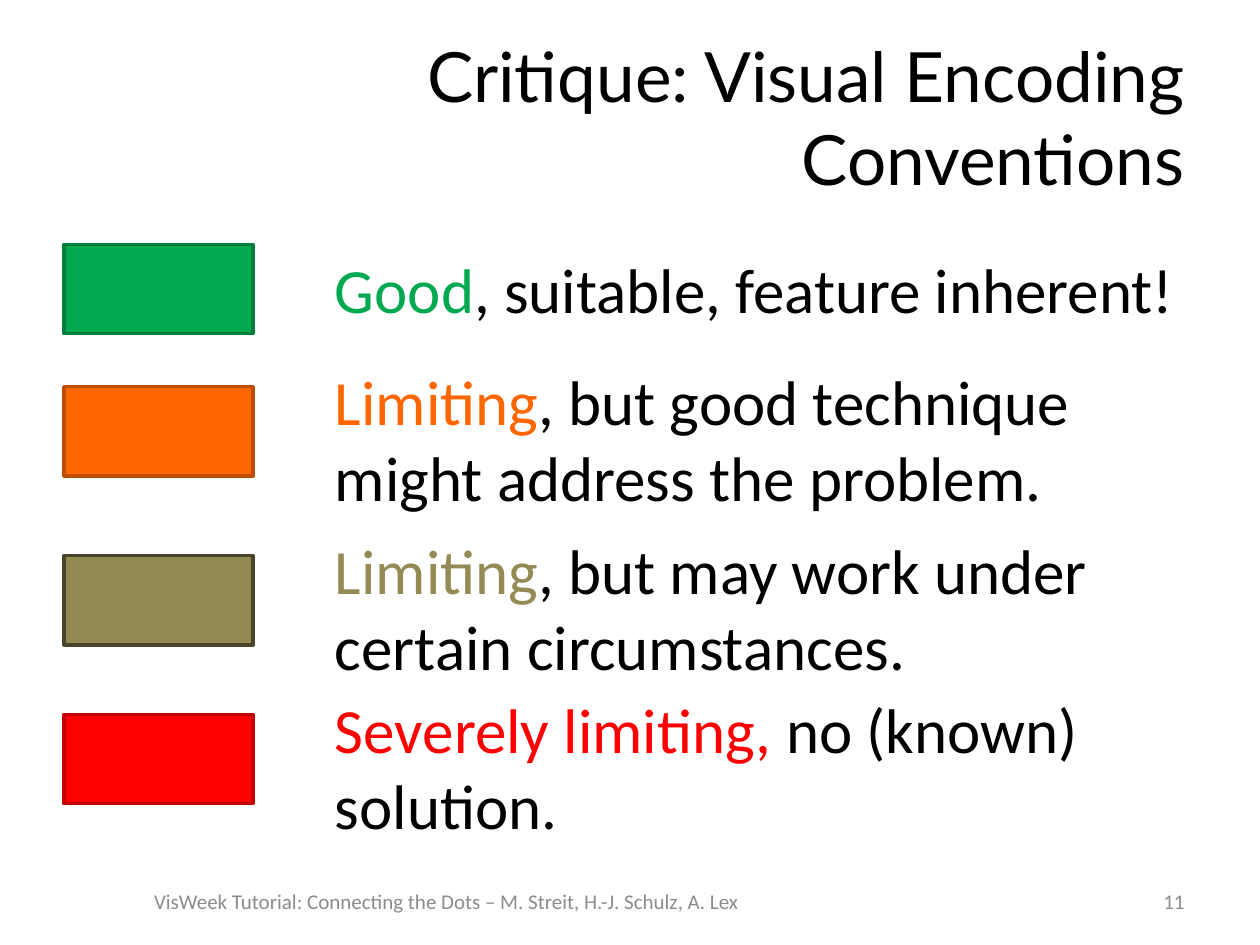
from pptx import Presentation
from pptx.dml.color import RGBColor
from pptx.enum.shapes import MSO_SHAPE
from pptx.enum.text import MSO_ANCHOR, PP_ALIGN
from pptx.util import Pt

RECTANGLE = MSO_SHAPE.RECTANGLE
TOP, MIDDLE = MSO_ANCHOR.TOP, MSO_ANCHOR.MIDDLE
LEFT, CENTER, RIGHT = PP_ALIGN.LEFT, PP_ALIGN.CENTER, PP_ALIGN.RIGHT

BLACK = "000000"
TITLE_FORMAT = {"name": "Lato", "size": Pt(39.6)}
RATING_FORMAT = {"name": "Calibri", "size": Pt(36)}
FOOTER_FORMAT = {"name": "Calibri", "size": Pt(12)}
FOOTER_COLOR = "8C8C8C"

SWATCH_HEIGHT = 51
# swatch top, text top, text height, fill, outline, coloured words, black words
RATINGS = [
    (139.7, 139.7, 51, "00A950", "007D3B", "Good", ", suitable, feature inherent!"),
    (221, 203.8, 94.3, "FF6600", "BF4D00", "Limiting",
     ", but good technique might address the problem."),
    (317.5, 300.2, 94.3, "948A54", "4A452A", "Limiting",
     ", but may work under certain circumstances."),
    (408.2, 391, 94.3, "FF0000", "C00000", "Severely limiting, ", "no (known) solution."),
]


def color(hex_value):
    return RGBColor.from_string(hex_value)


def add_text(slide, box, runs, font_format, alignment=LEFT, anchor=TOP):
    """Add a one-paragraph text box; runs are (text, colour) pairs."""
    frame = slide.shapes.add_textbox(*map(Pt, box)).text_frame
    frame.word_wrap = True
    frame.vertical_anchor = anchor
    paragraph = frame.paragraphs[0]
    paragraph.alignment = alignment
    for text, text_color in runs:
        run = paragraph.add_run()
        run.text = text
        for name, value in font_format.items():
            setattr(run.font, name, value)
        run.font.color.rgb = color(text_color)


def add_swatch(slide, box, fill, outline):
    shape = slide.shapes.add_shape(RECTANGLE, *map(Pt, box))
    shape.shadow.inherit = False
    shape.fill.solid()
    shape.fill.fore_color.rgb = color(fill)
    shape.line.color.rgb = color(outline)
    shape.line.width = Pt(2)


def add_title(slide, box):
    add_text(slide, box, [("Critique: Visual Encoding Conventions", BLACK)],
             TITLE_FORMAT, RIGHT, MIDDLE)


def add_ratings(slide, left, width):
    swatch_width, text_offset = 108, 147.6
    for swatch_top, text_top, text_height, fill, outline, verdict, comment in RATINGS:
        add_swatch(slide, (left, swatch_top, swatch_width, SWATCH_HEIGHT), fill, outline)
        add_text(slide, (left + text_offset, text_top, width - text_offset, text_height),
                 [(verdict, fill), (comment, BLACK)], RATING_FORMAT)


def add_footer(slide, left, top, width, height):
    credit_width, number_width = 437, 168
    add_text(slide, (left, top, credit_width, height),
             [("VisWeek Tutorial: Connecting the Dots – M. Streit, H.-J. Schulz, A. Lex",
               FOOTER_COLOR)], FOOTER_FORMAT, CENTER, MIDDLE)
    add_text(slide, (left + width - number_width, top, number_width, height),
             [("11", FOOTER_COLOR)], FOOTER_FORMAT, RIGHT, MIDDLE)


def main():
    presentation = Presentation()
    presentation.slide_width, presentation.slide_height = Pt(720), Pt(540)
    slide = presentation.slides.add_slide(presentation.slide_layouts[6])
    add_title(slide, (36, 21.6, 648, 90))
    add_ratings(slide, 36.7, 658.1)
    add_footer(slide, 36.7, 500.5, 647.3, 28.8)
    presentation.save("out.pptx")


if __name__ == "__main__":
    main()
